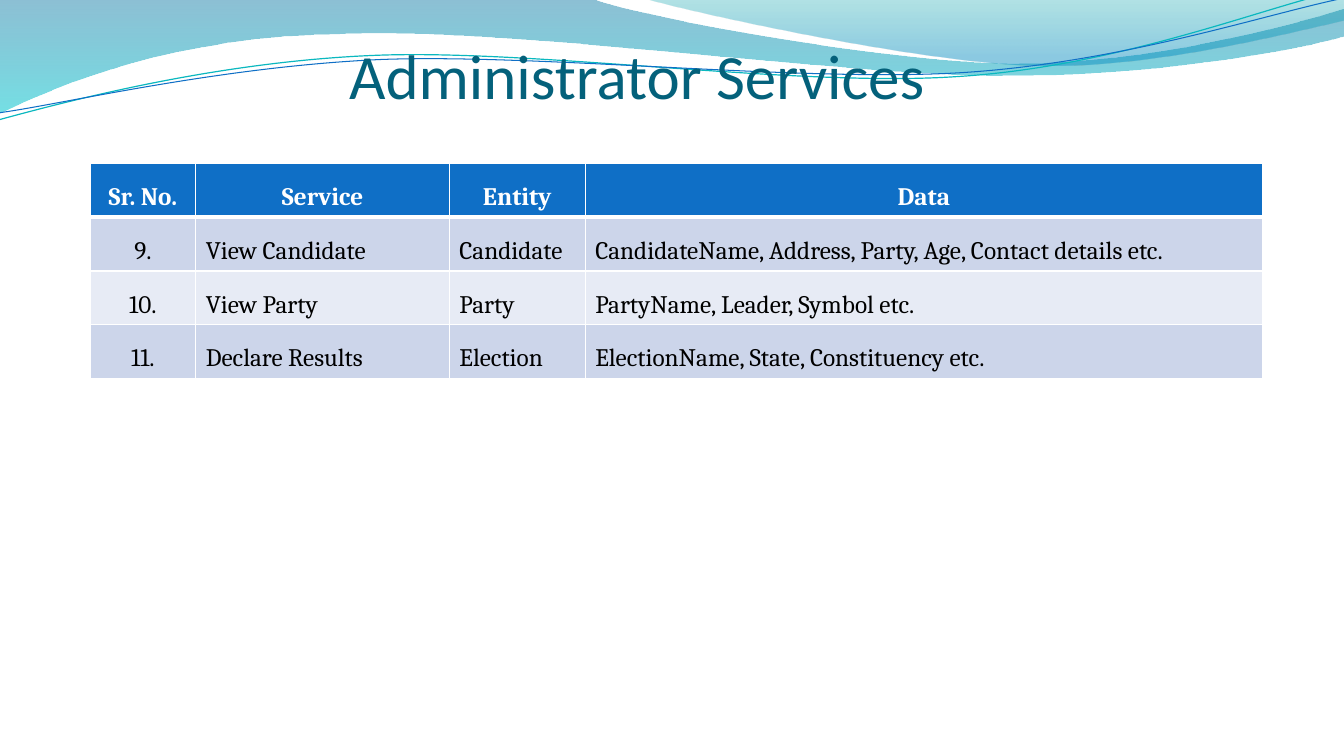
import collections
import lxml.etree
import pptx
import pptx.dml.color
import pptx.enum.text
import pptx.oxml.ns
import pptx.util

Cm = pptx.util.Cm
Pt = pptx.util.Pt
qn = pptx.oxml.ns.qn
ALIGN = pptx.enum.text.PP_ALIGN
Box = collections.namedtuple("Box", "left top width height")

COLOURS = {
    "title": "04617B", "header": "0F6FC6", "odd": "CCD5EA", "even": "E7EBF5",
    "white": "FFFFFF", "black": "000000", "teal": "0AB8BF",
    "deep": "0074A1", "cyan": "00C6CF", "sea": "00A1A9", "sky": "008BBF",
}

BANDS = [
    ([[(0, 0)], [(14.91, -0.03)],
      [(16.1, 0.43), (22.48, 1.6), (25.68, 1.6)],
      [(28.91, 1.6), (32.46, 0.66), (33.86, 0.23)],
      [(33.91, 0.91)],
      [(33.3, 1.12), (29.46, 1.93), (25.25, 1.91)],
      [(21.06, 1.91), (12.93, 0.71), (8.71, 0.86)],
      [(4.37, 0.91), (1.55, 2.11), (-0.03, 2.87)],
      [(0, 0)]],
     [(0, "deep", 45), (1, "cyan", 55)]),
    ([[(16.23, -0.03)],
      [(17.25, 0.28), (23.09, 1.57), (26.04, 1.65)],
      [(28.98, 1.75), (32.56, 0.81), (33.86, 0.53)],
      [(33.86, 0)], [(16.23, -0.03)]],
     [(0, "sea", 30), (0.8, "sky", 45)]),
]
STRANDS = [
    ([[(-0.03, 3.02)],
      [(1.63, 2.57), (5.36, 1.57), (9.37, 1.4)],
      [(13.39, 1.22), (20.07, 2.21), (24.13, 1.93)],
      [(28.19, 1.68), (31.8, 0.2), (33.81, -0.25)]], "teal", 0.85),
    ([[(0, 2.84)],
      [(1.6, 2.62), (5.54, 1.68), (9.6, 1.5)],
      [(13.64, 1.35), (20.22, 2.08), (24.26, 1.83)],
      [(28.32, 1.57), (31.88, 0.36), (33.88, -0.05)]], "header", 0.75),
]
SERVICES = [
    ("Sr. No.", "Service", "Entity", "Data"),
    ("9.", "View Candidate", "Candidate",
     "CandidateName, Address, Party, Age, Contact details etc."),
    ("10.", "View Party", "Party", "PartyName, Leader, Symbol etc."),
    ("11.", "Declare Results", "Election", "ElectionName, State, Constituency etc."),
]
COLUMN_SHARES = [1.05, 2.52, 1.35, 6.73]


def colour(name):
    return pptx.dml.color.RGBColor.from_string(COLOURS[name])


def bend(shape, segments):
    lines = iter(list(shape.element.iter(qn("a:lnTo"))))
    for segment in segments[1:]:
        group = [next(lines) for point in segment]
        if len(group) == 3:
            curve = lxml.etree.Element(qn("a:cubicBezTo"))
            group[0].addprevious(curve)
            for line in group:
                curve.append(line[0])
                line.getparent().remove(line)


def draw_outline(page, box, segments, close):
    points = [(box.left + Cm(x), box.top + Cm(y)) for segment in segments for x, y in segment]
    builder = page.shapes.build_freeform(*points[0])
    builder.add_line_segments(points[1:], close=close)
    shape = builder.convert_to_shape()
    bend(shape, segments)
    shape.shadow.inherit = False
    return shape


def draw_waves(page, box):
    for segments, stops in BANDS:
        band = draw_outline(page, box, segments, True)
        band.line.fill.background()
        band.fill.gradient()
        band.fill.gradient_angle = 270
        tints = band.element.iter(qn("a:gs"))
        for stop, tint, (position, name, opacity) in zip(band.fill.gradient_stops, tints, stops):
            stop.position = position
            stop.color.rgb = colour(name)
            alpha = lxml.etree.SubElement(tint[0], qn("a:alpha"))
            alpha.set("val", str(opacity * 1000))
    for segments, name, weight in STRANDS:
        strand = draw_outline(page, box, segments, False)
        strand.fill.background()
        strand.line.color.rgb = colour(name)
        strand.line.width = Pt(weight)


def place_title(page, box, text):
    title = page.shapes.title
    title.left, title.top, title.width, title.height = box
    title.element.getparent().append(title.element)
    frame = title.text_frame
    frame.text = text
    frame.word_wrap = True
    frame.auto_size = pptx.enum.text.MSO_AUTO_SIZE.NONE
    frame.vertical_anchor = pptx.enum.text.MSO_ANCHOR.BOTTOM
    frame.margin_left = frame.margin_right = frame.margin_top = 0
    frame.margin_bottom = Cm(1.9)
    para = frame.paragraphs[0]
    para.alignment = ALIGN.CENTER
    para.font.name = "Calibri"
    para.font.size = Pt(45)
    para.font.color.rgb = colour("title")


def set_borders(cell, top, bottom):
    properties = cell._tc.get_or_add_tcPr()
    for index, (side, weight) in enumerate(zip("LRTB", (1, 1, top, bottom))):
        border = pptx.oxml.parse_xml(
            f'<a:ln{side} {pptx.oxml.ns.nsdecls("a")} w="{Pt(weight)}"><a:solidFill>'
            f'<a:srgbClr val="{COLOURS["white"]}"/></a:solidFill></a:ln{side}>')
        properties.insert(index, border)


def draw_services(page, box):
    table = page.shapes.add_table(len(SERVICES), len(COLUMN_SHARES), *box).table
    table.horz_banding = False
    for column, share in zip(table.columns, COLUMN_SHARES):
        column.width = int(box.width * share / sum(COLUMN_SHARES))
    for row, texts in enumerate(SERVICES):
        header = row == 0
        fill = "header" if header else ("odd" if row % 2 else "even")
        for column, text in enumerate(texts):
            cell = table.cell(row, column)
            cell.text = text
            cell.fill.solid()
            cell.fill.fore_color.rgb = colour(fill)
            set_borders(cell, 3 if row == 1 else 1, 3 if header else 1)
            para = cell.text_frame.paragraphs[0]
            para.alignment = ALIGN.CENTER if header or column == 0 else ALIGN.LEFT
            para.line_spacing = 1.5
            para.font.name = "Cambria"
            para.font.size = Pt(18)
            para.font.bold = header
            para.font.color.rgb = colour("white" if header else "black")


deck = pptx.Presentation()
deck.slide_width, deck.slide_height = Cm(33.87), Cm(19.05)
page = deck.slides.add_slide(deck.slide_layouts[5])
draw_waves(page, Box(0, 0, deck.slide_width, Cm(3)))
place_title(page, Box(Cm(0.81), Cm(2.23), Cm(30.48), Cm(2.49)), "Administrator Services")
draw_services(page, Box(Cm(2.27), Cm(4.12), Cm(29.55), Cm(5.4)))
deck.save("out.pptx")
